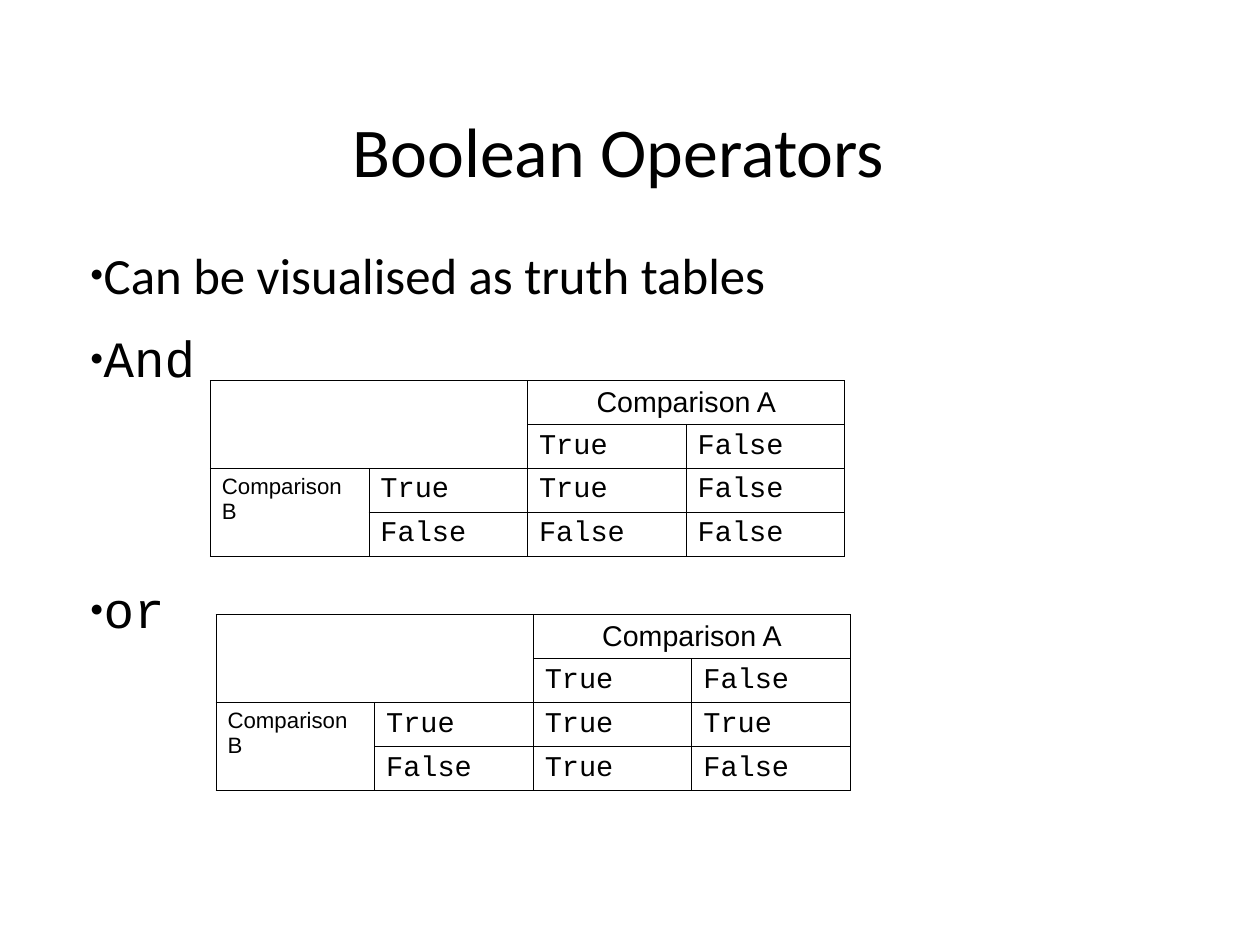
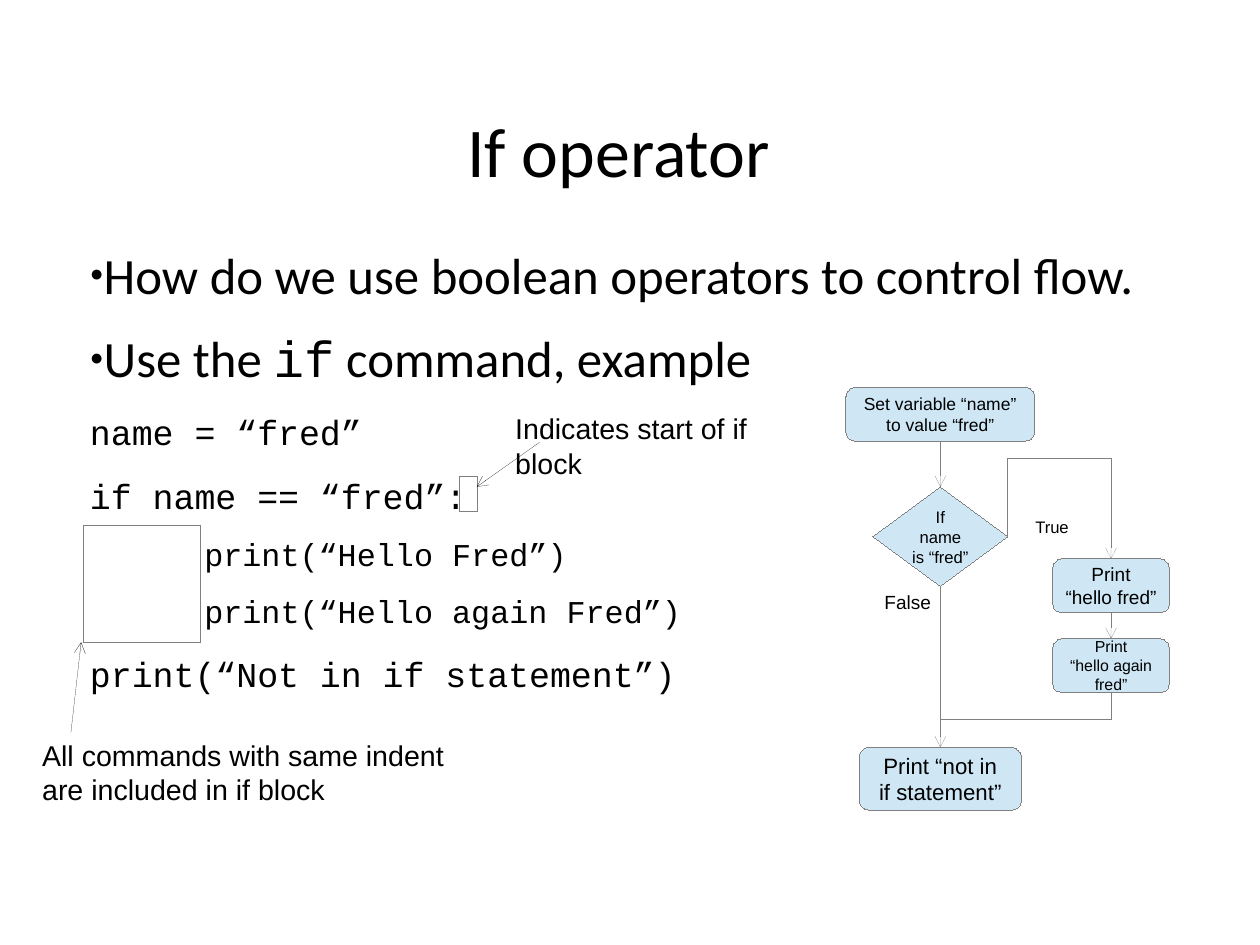
from dataclasses import dataclass

from lxml import etree
from pptx import Presentation
from pptx.dml.color import RGBColor
from pptx.enum.shapes import MSO_CONNECTOR, MSO_SHAPE
from pptx.enum.text import MSO_ANCHOR, MSO_AUTO_SIZE, PP_ALIGN
from pptx.oxml.ns import qn
from pptx.util import Cm, Inches, Pt

STRAIGHT = MSO_CONNECTOR.STRAIGHT
RECTANGLE = MSO_SHAPE.RECTANGLE
ROUNDED = MSO_SHAPE.ROUNDED_RECTANGLE
DIAMOND = MSO_SHAPE.DIAMOND
CENTER, LEFT = PP_ALIGN.CENTER, PP_ALIGN.LEFT
MIDDLE, TOP = MSO_ANCHOR.MIDDLE, MSO_ANCHOR.TOP
FIXED = MSO_AUTO_SIZE.NONE
SITE_TOP, SITE_BOTTOM, SITE_RIGHT = 0, 2, 3

WIDTH, HEIGHT = Cm(28), Cm(21)
TITLE_AREA = (7.14, 9.07, 83.94, 13.54)
BODY_AREA = (7.14, 25.74, 87.84, 50.5)
MAIN_X, SIDE_X = 74.63, 88.18


@dataclass(frozen=True)
class Theme:
    ink: RGBColor = RGBColor(0, 0, 0)
    outline: RGBColor = RGBColor(0x80, 0x80, 0x80)
    node: RGBColor = RGBColor(0xCF, 0xE7, 0xF5)
    heading: str = "Calibri"
    plain: str = "Arial"
    mono: str = "Courier New"
    title_size: float = 44
    body_size: float = 32
    code_size: float = 22
    nested_size: float = 20
    note_size: float = 18
    small_size: float = 14
    empty_size: float = 10
    body_gap: float = 14.2
    rule: float = 0.75


THEME = Theme()


def across(share):
    return round(WIDTH * share / 100)


def down(share):
    return round(HEIGHT * share / 100)


def area(left, top, width, height):
    return across(left), down(top), across(width), down(height)


def write(para, text, font=THEME.plain, size=THEME.note_size):
    span = para.add_run()
    span.text = text
    span.font.name = font
    span.font.size = Pt(size)
    span.font.color.rgb = THEME.ink
    span.font.bold = False


def write_lines(frame, lines, size, align=LEFT):
    for index, line in enumerate(lines):
        para = frame.add_paragraph() if index else frame.paragraphs[0]
        para.alignment = align
        write(para, line, size=size)


def set_insets(frame, horizontal=0, vertical=0):
    frame.margin_left = frame.margin_right = Inches(horizontal)
    frame.margin_top = frame.margin_bottom = Inches(vertical)


def set_hairline(line, color):
    line.color.rgb = color
    settings = line._get_or_add_ln()
    settings.set("w", "0")
    return settings


def prepare_layout(deck):
    layout = deck.slide_layouts[1]
    for holder, place in zip(layout.placeholders, (TITLE_AREA, BODY_AREA)):
        holder.left, holder.top, holder.width, holder.height = area(*place)
        set_insets(holder.text_frame)
        holder.text_frame.auto_size = FIXED
    return layout


def add_page(deck, layout, title):
    page = deck.slides.add_slide(layout)
    frame = page.shapes.title.text_frame
    frame.vertical_anchor = MIDDLE
    frame.paragraphs[0].alignment = CENTER
    write(frame.paragraphs[0], title, THEME.heading, THEME.title_size)
    return page


def add_item(page, spans, size=THEME.body_size, bullet=True, nested=False, before=0):
    frame = page.placeholders[1].text_frame
    para = frame.add_paragraph() if frame.text else frame.paragraphs[0]
    para.space_before = Pt(before)
    para.space_after = Pt(THEME.body_gap)
    if nested:
        para.level = 1
        para.line_spacing = 0.9
    settings = para._p.get_or_add_pPr()
    settings.set("marL", str(Inches(1) if nested else 0))
    settings.set("indent", "0")
    if bullet:
        etree.SubElement(settings, qn("a:buSzPct"), val="45000")
        etree.SubElement(settings, qn("a:buChar"), char="●")
    else:
        etree.SubElement(settings, qn("a:buNone"))
    for text, font in spans:
        write(para, text, font, size)


def add_code(page, text, nested=False):
    size = THEME.nested_size if nested else THEME.code_size
    add_item(page, [(text, THEME.mono)], size, bullet=False, nested=nested)


def outline_cell(cell):
    cell.fill.background()
    settings = cell._tc.get_or_add_tcPr()
    for index, side in enumerate(("lnL", "lnR", "lnT", "lnB")):
        border = etree.Element(qn(f"a:{side}"), w=str(Pt(THEME.rule)))
        fill = etree.SubElement(border, qn("a:solidFill"))
        etree.SubElement(fill, qn("a:srgbClr"), val=str(THEME.ink))
        settings.insert(index, border)


def shrink_empty(cell):
    para = cell.text_frame.paragraphs[0]
    if not para.runs:
        etree.SubElement(para._p, qn("a:endParaRPr"), sz=str(THEME.empty_size * 100))


def add_truth_table(page, left, top, results):
    frame = page.shapes.add_table(4, 4, *area(left, top, 50.36, 18.6))
    table = frame.table
    table.first_row = table.horz_banding = False
    for cell in table.iter_cells():
        outline_cell(cell)
    for first, last in (((0, 0), (1, 1)), ((0, 2), (0, 3)), ((2, 0), (3, 0))):
        table.cell(*first).merge(table.cell(*last))

    heading = table.cell(0, 2).text_frame.paragraphs[0]
    heading.alignment = CENTER
    write(heading, "Comparison A")
    write(table.cell(2, 0).text_frame.paragraphs[0], "Comparison B",
          size=THEME.small_size)

    values = {(1, 2): True, (1, 3): False, (2, 1): True, (3, 1): False}
    for row, pair in enumerate(results, 2):
        for column, value in enumerate(pair, 2):
            values[row, column] = value
    for place, value in values.items():
        write(table.cell(*place).text_frame.paragraphs[0], str(value), THEME.mono)
    for cell in table.iter_cells():
        shrink_empty(cell)


def add_outline(page, kind, place, fill=None):
    box = page.shapes.add_shape(kind, *area(*place))
    box.shadow.inherit = False
    set_hairline(box.line, THEME.outline)
    if fill is None:
        box.fill.background()
    else:
        box.fill.solid()
        box.fill.fore_color.rgb = fill
    return box


def add_node(page, center, top, width, height, lines, size, kind=ROUNDED):
    place = (center - width / 2, top, width, height)
    box = add_outline(page, kind, place, THEME.node)
    frame = box.text_frame
    set_insets(frame)
    frame.word_wrap = False
    frame.vertical_anchor = MIDDLE
    write_lines(frame, lines, size, CENTER)
    return box


def add_note(page, place, lines, size=THEME.note_size, wrap=False):
    frame = page.shapes.add_textbox(*area(*place)).text_frame
    set_insets(frame, 0.1, 0.05)
    frame.word_wrap = wrap
    frame.vertical_anchor = TOP
    write_lines(frame, lines, size)


def add_line(page, start, end, color=THEME.outline, arrow=True):
    line = page.shapes.add_connector(
        STRAIGHT, across(start[0]), down(start[1]), across(end[0]), down(end[1]))
    settings = set_hairline(line.line, color)
    if arrow:
        etree.SubElement(settings, qn("a:tailEnd"), type="arrow")
    etree.SubElement(line._element.spPr, qn("a:effectLst"))
    return line


def add_route(page, points, source=None, target=None, arrow=True):
    last = len(points) - 2
    lines = [add_line(page, start, end, arrow=arrow and index == last)
             for index, (start, end) in enumerate(zip(points, points[1:]))]
    if source:
        lines[0].begin_connect(*source)
    if target:
        lines[-1].end_connect(*target)


def add_flowchart(page):
    assign = add_node(page, MAIN_X, 40.99, 14.97, 5.68,
                      ["Set variable “name”", "to value “fred”"], 11)
    test = add_node(page, MAIN_X, 51.51, 10.71, 10.52,
                    ["If", "name", "is “fred”"], 10.5, DIAMOND)
    hello = add_node(page, SIDE_X, 59.13, 9.26, 5.68,
                     ["Print", "“hello fred”"], 12)
    again = add_node(page, SIDE_X, 67.59, 9.26, 5.68,
                     ["Print", "“hello again", "fred”"], 10)
    finish = add_node(page, MAIN_X, 79.08, 12.89, 6.65,
                      ["Print “not in", "if statement”"], THEME.small_size)

    add_route(page, [(MAIN_X, 46.67), (MAIN_X, 51.51)],
              (assign, SITE_BOTTOM), (test, SITE_TOP))
    add_route(page, [(79.98, 56.77), (79.98, 48.49), (SIDE_X, 48.49), (SIDE_X, 59.13)],
              (test, SITE_RIGHT), (hello, SITE_TOP))
    add_route(page, [(SIDE_X, 64.81), (SIDE_X, 67.59)],
              (hello, SITE_BOTTOM), (again, SITE_TOP))
    add_route(page, [(MAIN_X, 62.03), (MAIN_X, 79.08)],
              (test, SITE_BOTTOM), (finish, SITE_TOP))
    add_route(page, [(SIDE_X, 73.27), (SIDE_X, 76.18), (MAIN_X, 76.18)],
              (again, SITE_BOTTOM), arrow=False)

    add_note(page, (81.28, 54.05, 4.45, 3.14), ["True"], 10.5)
    add_note(page, (69.3, 61.91, 5.54, 3.51), ["False"], 12)


def build_truth_tables(deck, layout):
    page = add_page(deck, layout, "Boolean Operators")
    add_item(page, [("Can be visualised as truth tables", THEME.heading)])
    add_item(page, [("And", THEME.mono)])
    add_item(page, [("or", THEME.mono)], before=105.5)
    add_truth_table(page, 17.15, 65.05, [(True, True), (True, False)])
    add_truth_table(page, 16.7, 40.27, [(True, False), (False, False)])


def build_if_operator(deck, layout):
    page = add_page(deck, layout, "If operator")
    add_item(page, [("How do we use boolean operators to control flow.", THEME.heading)])
    add_item(page, [("Use the ", THEME.heading), ("if", THEME.mono),
                    (" command, example", THEME.heading)])
    add_code(page, "name = “fred”")
    add_code(page, "if name == “fred”:")
    add_code(page, "print(“Hello Fred”)", nested=True)
    add_code(page, "print(“Hello again Fred”)", nested=True)
    add_code(page, "print(“Not in if statement”)")

    add_outline(page, RECTANGLE, (36.44, 50.42, 1.45, 3.75))
    add_note(page, (40, 42.93, 25.4, 7.9), ["Indicates start of if block"], wrap=True)
    add_line(page, (42.83, 46.8), (37.84, 51.51), THEME.ink)
    add_outline(page, RECTANGLE, (6.62, 55.62, 9.26, 12.33))
    add_note(page, (2.45, 77.51, 34.21, 7.98),
             ["All commands with same indent", "are included in if block"])
    add_line(page, (5.63, 77.51), (6.44, 67.96), THEME.ink)
    add_flowchart(page)


def main():
    deck = Presentation()
    deck.slide_width, deck.slide_height = WIDTH, HEIGHT
    layout = prepare_layout(deck)
    build_truth_tables(deck, layout)
    build_if_operator(deck, layout)
    deck.save("out.pptx")


main()
